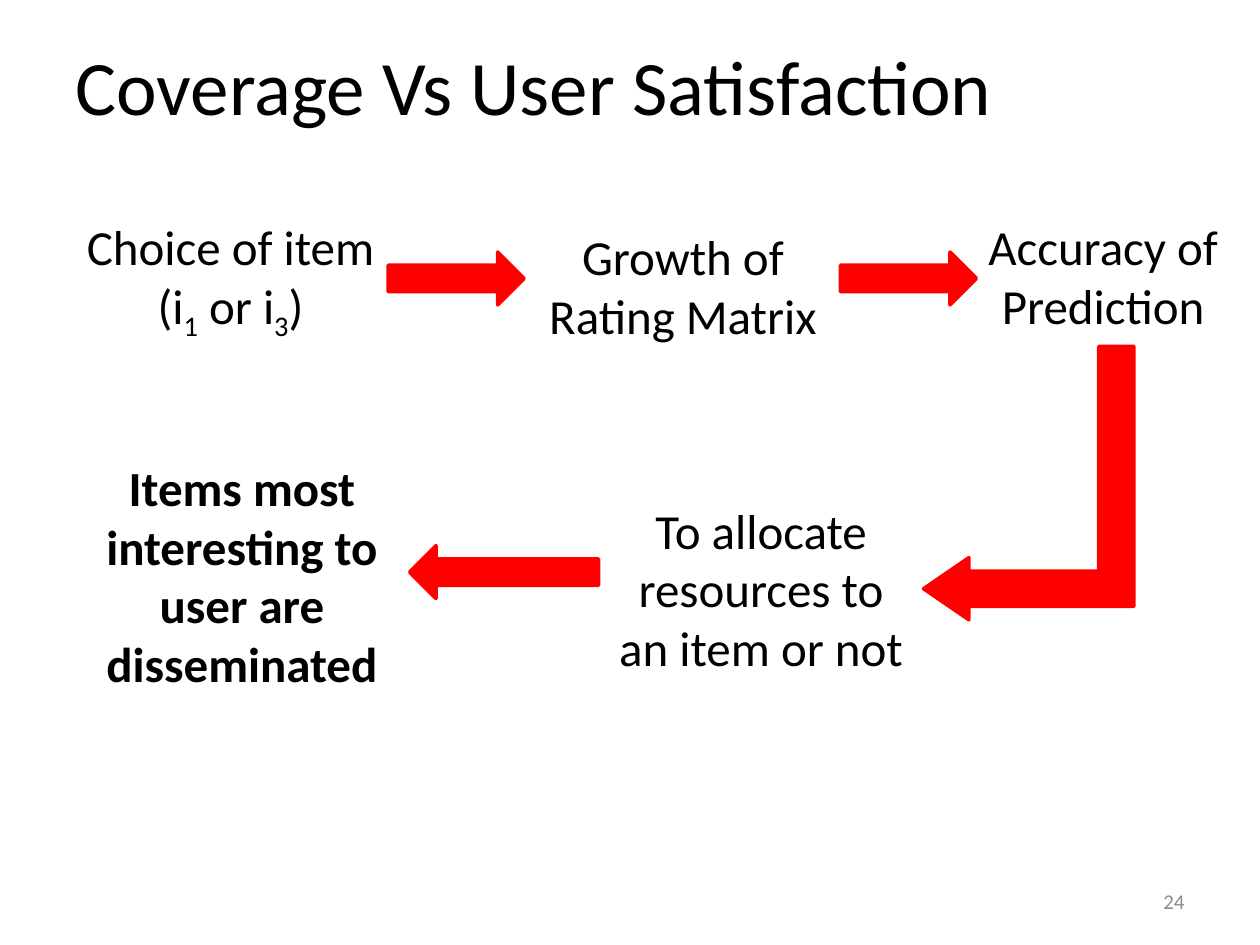
from pptx import Presentation
from pptx.dml.color import RGBColor
from pptx.enum import shapes, text
from pptx.util import Inches, Pt

SHAPE = shapes.MSO_SHAPE
ALIGN = text.PP_ALIGN
ANCHOR = text.MSO_ANCHOR


def color(value):
    return RGBColor.from_string(value)


class FlowSlide:
    font = "Calibri"
    ink = "000000"
    accent = "FF0000"

    def __init__(self, prs):
        self.s = prs.slides.add_slide(prs.slide_layouts[6])

    def label(self, box, runs, size=28, align=ALIGN.CENTER, anchor=ANCHOR.TOP,
              bold=False, ink=ink):
        """Add one paragraph; runs are (string, is_subscript) pairs."""
        tf = self.s.shapes.add_textbox(*map(Inches, box)).text_frame
        tf.word_wrap = True
        tf.vertical_anchor = anchor
        p = tf.paragraphs[0]
        p.alignment = align
        p.font.name, p.font.size, p.font.bold = self.font, Pt(size), bold
        p.font.color.rgb = color(ink)
        for string, subscript in runs:
            r = p.add_run()
            r.text = string
            if subscript:
                r.font._element.set("baseline", "-25000")

    def arrow(self, box, kind=SHAPE.RIGHT_ARROW, rotation=0, flip=False, adjust=()):
        sp = self.s.shapes.add_shape(kind, *map(Inches, box))
        sp.shadow.inherit = False
        sp.rotation = rotation
        if flip:
            sp._element.spPr.xfrm.set("flipV", "1")
        for i, value in enumerate(adjust):
            sp.adjustments[i] = value
        sp.fill.solid()
        sp.fill.fore_color.rgb = color(self.accent)
        sp.line.color.rgb = color(self.accent)
        sp.line.width = Pt(2)


def main():
    prs = Presentation()
    prs.slide_width, prs.slide_height = Inches(10), Inches(7.5)
    slide = FlowSlide(prs)

    # Title and slide number
    slide.label((0.5, 0.17, 9, 1), [("Coverage Vs User Satisfaction", False)],
                size=44, align=ALIGN.LEFT, anchor=ANCHOR.MIDDLE)
    slide.label((7.17, 6.95, 2.33, 0.4), [("24", False)],
                size=12, align=ALIGN.RIGHT, anchor=ANCHOR.MIDDLE, ink="8C8C8C")

    # Steps of the flow
    slide.label((0.58, 1.67, 2.5, 1.04),
                [("Choice of item (i", False), ("1", True), (" or i", False),
                 ("3", True), (")", False)])
    steps = [
        ((4.17, 1.75, 2.5, 1.04), "Growth of Rating Matrix", False),
        ((7.67, 1.67, 2.17, 1.04), "Accuracy of Prediction", False),
        ((4.75, 3.92, 2.58, 1.51), "To allocate resources to an item or not", False),
        ((0.67, 3.58, 2.5, 1.99), "Items most interesting to user are disseminated", True),
    ]
    for box, string, bold in steps:
        slide.label(box, [(string, False)], bold=bold)

    # Arrows: along the top, down the right side, back to the left
    for left in (3.08, 6.67):
        slide.arrow((left, 2, 1.08, 0.42))
    slide.arrow((7.08, 3, 2.17, 1.67), SHAPE.BENT_UP_ARROW, rotation=90, flip=True,
                adjust=(0.168, 0.148, 0.216))
    slide.arrow((3.25, 4.33, 1.5, 0.42), rotation=180)

    prs.save("out.pptx")


if __name__ == "__main__":
    main()
